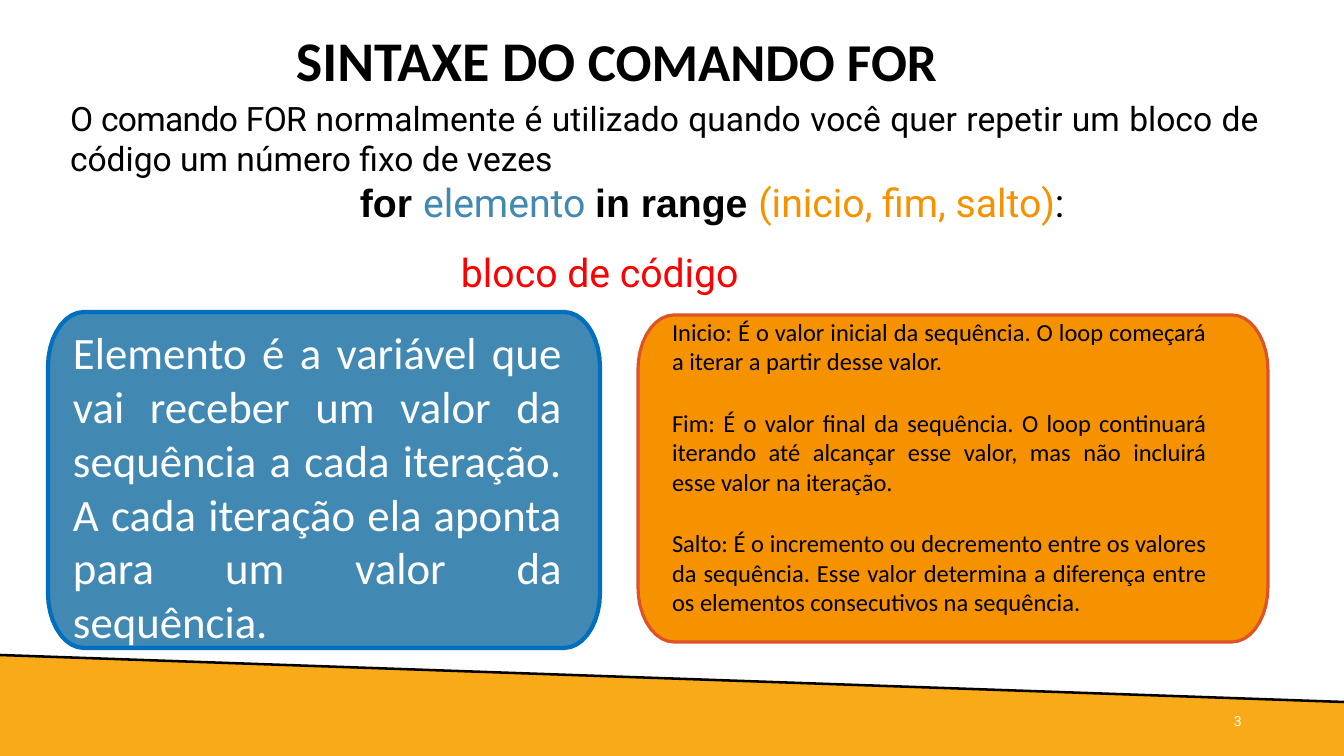
from math import cos, radians, sin

from lxml.etree import SubElement
from pptx import Presentation
from pptx.dml.color import RGBColor
from pptx.enum.shapes import MSO_CONNECTOR
from pptx.enum.text import MSO_ANCHOR, MSO_AUTO_SIZE, PP_ALIGN
from pptx.oxml.ns import qn
from pptx.util import Pt

PX = 9071  # EMU per pixel, 100.8 pixels to the inch
W, H = 1344, 756
BAND_LEFT, BAND_RIGHT = 655, 702
CORNER_W, CORNER_H = 36, 55

BLACK = RGBColor(0x00, 0x00, 0x00)
WHITE = RGBColor(0xFF, 0xFF, 0xFF)
RED = RGBColor(0xFF, 0x00, 0x00)
BAND = RGBColor(0xF8, 0xAA, 0x18)
BLUE = RGBColor(0x41, 0x89, 0xB3)
BLUE_EDGE = RGBColor(0x00, 0x6F, 0xC0)
ORANGE = RGBColor(0xF6, 0x92, 0x00)
ORANGE_EDGE = RGBColor(0xDF, 0x52, 0x27)


def set_frame(sp, x, y, w, h, top=1):
    """Place a text shape and return its frame, with only a top inset."""
    sp.left, sp.top, sp.width, sp.height = x * PX, y * PX, w * PX, h * PX
    tf = sp.text_frame
    tf.word_wrap = True
    tf.auto_size = MSO_AUTO_SIZE.NONE
    tf.vertical_anchor = MSO_ANCHOR.TOP
    tf.margin_left = tf.margin_right = tf.margin_bottom = 0
    tf.margin_top = top * PX
    return tf


def add_run(p, text, font, size, color, bold=False, spacing=0):
    """Add a run; spacing is in hundredths of a point."""
    r = p.add_run()
    r.text = text
    r.font.name, r.font.size, r.font.bold = font, Pt(size), bold
    r.font.color.rgb = color
    if spacing:
        r.font._element.set("spc", str(spacing))


prs = Presentation()
prs.slide_width, prs.slide_height = W * PX, H * PX
s = prs.slides.add_slide(prs.slide_layouts[5])

# Slanted band at the bottom with its black edge
fb = s.shapes.build_freeform(0, BAND_LEFT, scale=PX)
fb.add_line_segments([(0, H), (W, H), (W, BAND_RIGHT)], close=True)
sp = fb.convert_to_shape()
sp.shadow.inherit = False
sp.fill.solid()
sp.fill.fore_color.rgb = BAND
sp.line.fill.background()

edge = s.shapes.add_connector(MSO_CONNECTOR.STRAIGHT, 0, BAND_LEFT * PX,
                              W * PX, BAND_RIGHT * PX)
edge.line.color.rgb = BLACK
edge.line.width = Pt(1.8)
SubElement(edge._element.spPr, qn("a:effectLst"))

# Title
p = set_frame(s.shapes.title, 296, 24, 751, 70).paragraphs[0]
p.alignment = PP_ALIGN.LEFT
p.space_before = Pt(0.9)
add_run(p, "SINTAXE DO ", "Calibri", 40, BLACK, True)
add_run(p, "COMANDO FOR", "Calibri", 38, BLACK, True)

# Introduction
p = set_frame(s.shapes.add_textbox(0, 0, 0, 0), 70, 97, 1189, 85).paragraphs[0]
p.alignment = PP_ALIGN.JUSTIFY
p.space_before = Pt(1)
add_run(p, "O comando FOR ", "Roboto", 24, BLACK, spacing=-50)
add_run(p, "normalmente é utilizado quando você quer repetir um bloco de "
        "código um número fixo de vezes", "Roboto", 24, BLACK)

# Syntax of the command, with the block indented one step further
tf = set_frame(s.shapes.add_textbox(0, 0, 0, 0), 83, 163, 1178, 135, top=15)
syntax = [
    (277, [("for ", "Arial", BLACK, True), ("elemento ", "Roboto", BLUE, False),
           ("in range ", "Arial", BLACK, True),
           ("(inicio, fim, salto)", "Roboto", ORANGE, False),
           (":", "Roboto", BLACK, False)]),
    (378, [("bloco de código", "Roboto", RED, False)]),
]
for i, (indent, runs) in enumerate(syntax):
    p = tf.add_paragraph() if i else tf.paragraphs[0]
    p._p.get_or_add_pPr().set("marL", str(indent * PX))
    p.space_before = Pt(16.8)
    for text, font, color, bold in runs:
        add_run(p, text, font, 28, color, bold)

# Explanation cards: outline box, text box, colours, text size, paragraphs
cards = [
    ((48, 312, 552, 336), (73, 324, 489, 326), BLUE, BLUE_EDGE, 3, WHITE, 32,
     ["Elemento é a variável que vai receber um valor da sequência a cada "
      "iteração. A cada iteração ela aponta para um valor da sequência."]),
    ((638, 315, 630, 327), (672, 316, 535, 333), ORANGE, ORANGE_EDGE, 2.28, BLACK, 17.5,
     ["Inicio: É o valor inicial da sequência. O loop começará a iterar a "
      "partir desse valor.",
      "Fim: É o valor final da sequência. O loop continuará iterando até "
      "alcançar esse valor, mas não incluirá esse valor na iteração.",
      "Salto: É o incremento ou decremento entre os valores da sequência. Esse "
      "valor determina a diferença entre os elementos consecutivos na sequência."]),
]
for (x, y, w, h), text_box, fill, line, line_width, color, size, paragraphs in cards:
    # Elliptical corners, clockwise from the bottom right
    points = []
    for quarter in range(4):
        cx = x + w - CORNER_W if quarter in (0, 3) else x + CORNER_W
        cy = y + h - CORNER_H if quarter in (0, 1) else y + CORNER_H
        for step in range(0, 91, 10):
            a = radians(90 * quarter + step)
            points.append(((cx + CORNER_W * cos(a)) * PX, (cy + CORNER_H * sin(a)) * PX))
    fb = s.shapes.build_freeform(*points[0])
    fb.add_line_segments(points[1:], close=True)
    sp = fb.convert_to_shape()
    sp.shadow.inherit = False
    sp.fill.solid()
    sp.fill.fore_color.rgb = fill
    sp.line.color.rgb = line
    sp.line.width = Pt(line_width)

    tf = set_frame(s.shapes.add_textbox(0, 0, 0, 0), *text_box)
    for i, text in enumerate(paragraphs):
        p = tf.add_paragraph() if i else tf.paragraphs[0]
        p.alignment = PP_ALIGN.JUSTIFY
        p.space_before = Pt(23 if i else 1)
        add_run(p, text, "Calibri", size, color)

# Slide number
p = set_frame(s.shapes.add_textbox(0, 0, 0, 0), 1234, 713, 25, 18, top=0).paragraphs[0]
add_run(p, "3", "Roboto", 10, WHITE)

prs.save("out.pptx")
